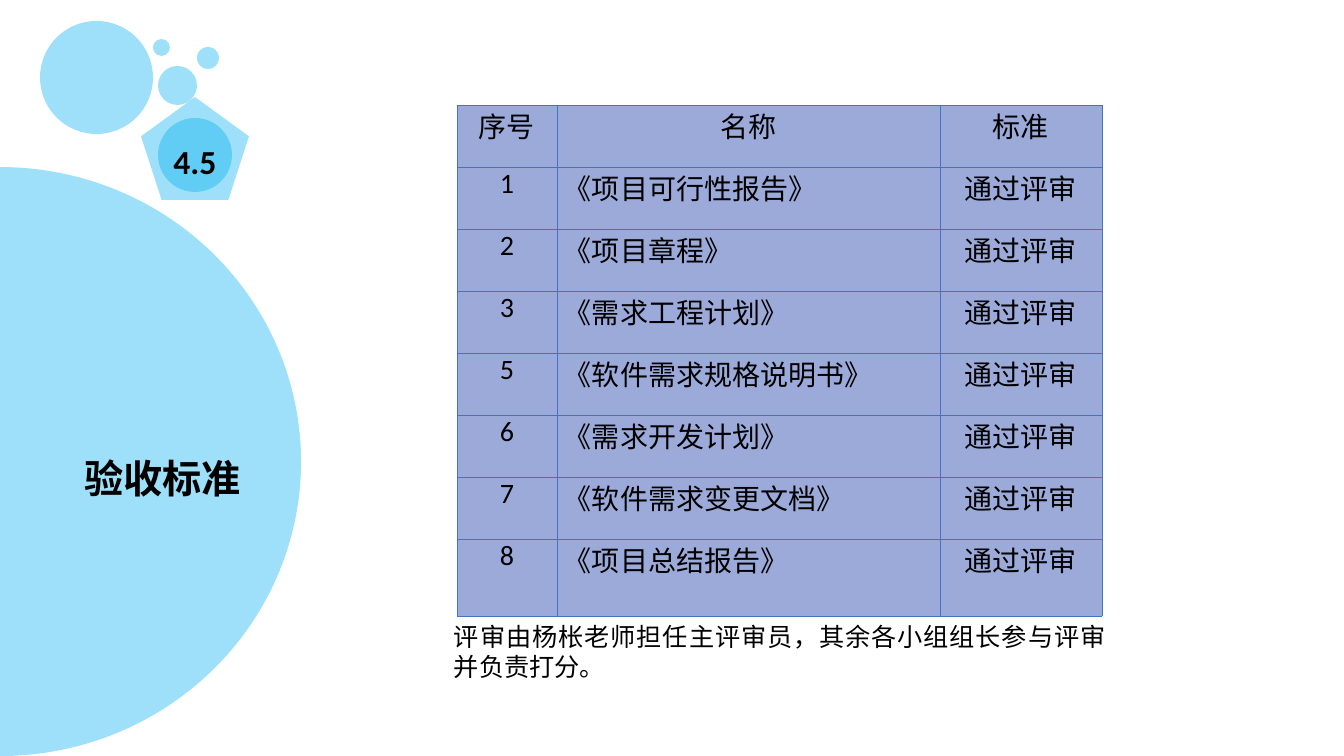
from pptx import Presentation
from pptx.dml.color import RGBColor as RGB
from pptx.enum.shapes import MSO_SHAPE as Geo
from pptx.enum.text import MSO_ANCHOR as Anchor, MSO_AUTO_SIZE as Auto, PP_ALIGN as Align
from pptx.oxml import parse_xml
from pptx.oxml.ns import nsdecls
from pptx.util import Emu, Pt
from lxml.etree import SubElement as Sub

SCALE = 914400 / 100.8
THEME = {
    "font": "Calibri", "ink": "000000", "sky": "00B0F0", "alpha": 38,
    "cell": "9BAAD9", "line": "4472C4", "rule": 0.5,
    "title": 28, "badge": 24, "table": 20, "note": 18,
}
BUBBLES = [(0, 0, 113), (113, 18, 17), (157, 26, 22), (118, 45, 39), (118, 97, 74)]
HEADS = ["序号", "名称", "标准"]
ITEMS = [
    ("1", "项目可行性报告"), ("2", "项目章程"), ("3", "需求工程计划"),
    ("5", "软件需求规格说明书"), ("6", "需求开发计划"),
    ("7", "软件需求变更文档"), ("8", "项目总结报告"),
]
PASS = "通过评审"
NOTE = "评审由杨枨老师担任主评审员，其余各小组组长参与评审并负责打分。"


def px(*nums):
    return [Emu(round(n * SCALE)) for n in nums]


def put(obj, vals):
    for key, val in vals.items():
        setattr(obj, key, val)


def write(frame, text, size, align, bold=False):
    frame.text = text
    para = frame.paragraphs[0]
    put(para, {"alignment": align, "line_spacing": 1.0})
    font = para.runs[0].font
    put(font, {"name": THEME["font"], "size": Pt(THEME[size]), "bold": bold})
    font.color.rgb = RGB.from_string(THEME["ink"])


def draw(slide, geo, box):
    shape = slide.shapes.add_shape(geo, *px(*box))
    shape.shadow.inherit = False
    shape.line.fill.background()
    shape.fill.solid()
    shape.fill.fore_color.rgb = RGB.from_string(THEME["sky"])
    tint = shape.element.spPr.find(".//{*}srgbClr")
    Sub(tint, tint.tag.replace("srgbClr", "alpha"), val=str(THEME["alpha"] * 1000))
    return shape


def bubbles(slide, left, top):
    for dx, dy, size in BUBBLES:
        draw(slide, Geo.OVAL, (left + dx, top + dy, size, size))


def dome(slide, box):
    half = draw(slide, Geo.PIE, box)
    half.rotation = 180
    half.adjustments[0], half.adjustments[1] = 53.92, 162


def heading(slide, box, text):
    title = slide.shapes.title
    put(title, dict(zip(("left", "top", "width", "height"), px(*box))))
    write(title.text_frame, text, "title", Align.LEFT, True)
    put(title.text_frame, {"word_wrap": True, "auto_size": Auto.NONE,
                           "vertical_anchor": Anchor.TOP})
    slide.shapes.element.append(title.element)


def badge(slide, box, text):
    shape = draw(slide, Geo.REGULAR_PENTAGON, box)
    shape.text_frame.vertical_anchor = Anchor.MIDDLE
    write(shape.text_frame, text, "badge", Align.CENTER, True)


def edge(cell):
    props = cell._tc.get_or_add_tcPr()
    for side in "LRTB":
        props.append(parse_xml(
            f'<a:ln{side} {nsdecls("a")} w="{Pt(THEME["rule"])}"><a:solidFill>'
            f'<a:srgbClr val="{THEME["line"]}"/></a:solidFill></a:ln{side}>'))


def grid(slide, box, cols, row):
    rows = [HEADS] + [(num, f"《{name}》", PASS) for num, name in ITEMS]
    table = slide.shapes.add_table(len(rows), len(cols), *px(*box)).table
    put(table, {"first_row": False, "horz_banding": False})
    for col, wide in zip(table.columns, cols):
        col.width = px(wide)[0]
    last = box[3] - row * (len(rows) - 1)
    inset, = px(7)
    pads = {"margin_left": inset, "margin_right": inset,
            "margin_top": 0, "margin_bottom": 0}
    for r, vals in enumerate(rows):
        table.rows[r].height = px(last if r == len(rows) - 1 else row)[0]
        for c, text in enumerate(vals):
            cell = table.cell(r, c)
            put(cell, pads)
            edge(cell)
            cell.fill.solid()
            cell.fill.fore_color.rgb = RGB.from_string(THEME["cell"])
            align = Align.JUSTIFY if r and c == 1 else Align.CENTER
            write(cell.text_frame, text, "table", align)


def remark(slide, box, text):
    frame = slide.shapes.add_textbox(*px(*box)).text_frame
    frame.word_wrap = True
    write(frame, text, "note", Align.JUSTIFY)


def main():
    deck = Presentation()
    deck.slide_width, deck.slide_height = px(1344, 756)
    slide = deck.slides.add_slide(deck.slide_layouts[5])
    bubbles(slide, 40, 21)
    dome(slide, (-301, 167, 602, 589))
    heading(slide, (74, 449, 210, 57), "验收标准")
    badge(slide, (141, 97, 108, 103), "4.5")
    grid(slide, (457, 105, 645, 511), (100, 383, 162), 62)
    remark(slide, (444, 616, 672, 72), NOTE)
    deck.save("out.pptx")


if __name__ == "__main__":
    main()
